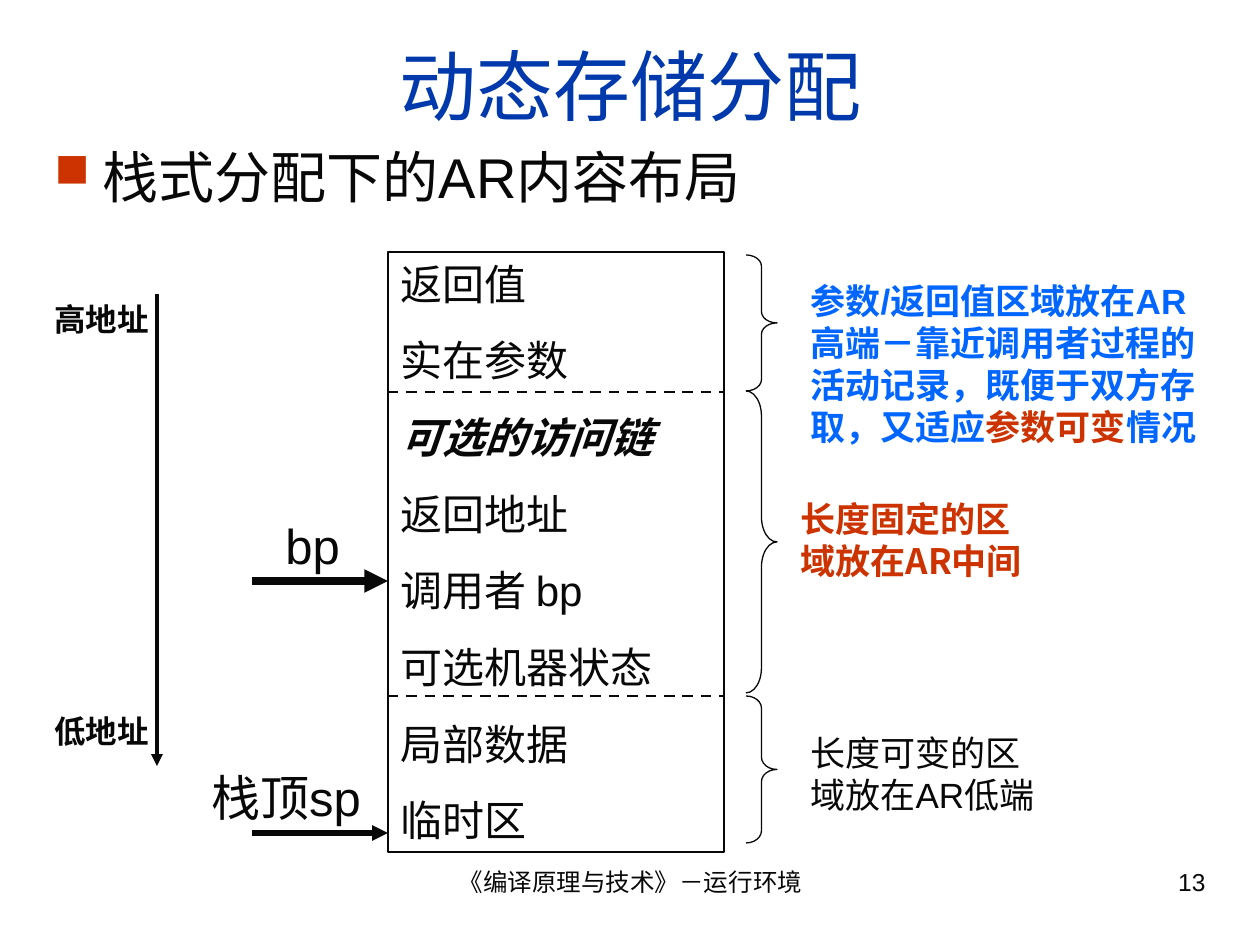
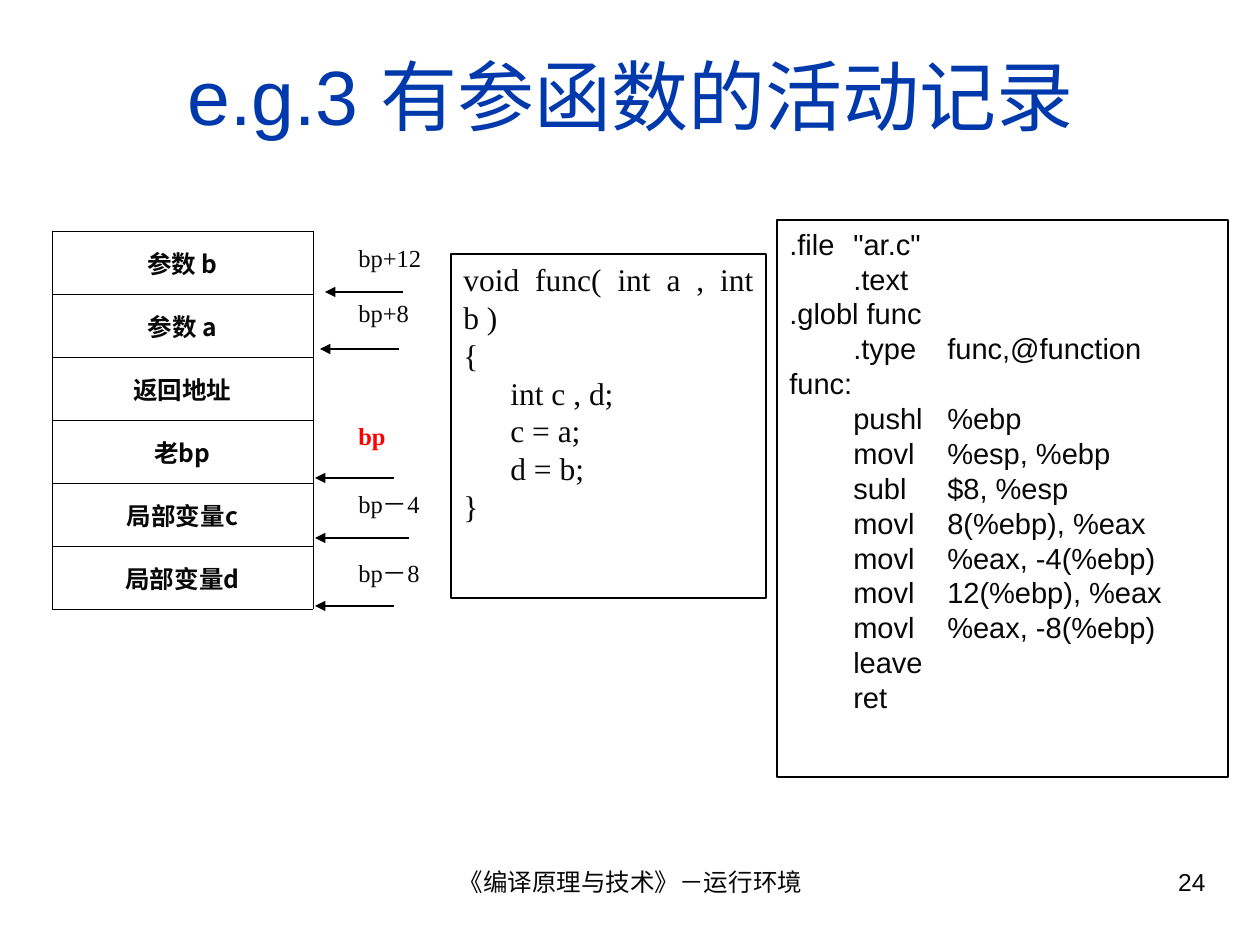
from dataclasses import dataclass

from lxml import etree
from pptx import Presentation
from pptx.dml.color import RGBColor
from pptx.enum.dml import MSO_LINE
from pptx.enum.shapes import MSO_CONNECTOR, MSO_SHAPE
from pptx.enum.text import MSO_ANCHOR, PP_ALIGN
from pptx.oxml.ns import qn
from pptx.util import Pt

LEFT, CENTER = PP_ALIGN.LEFT, PP_ALIGN.CENTER
RIGHT, JUSTIFY = PP_ALIGN.RIGHT, PP_ALIGN.JUSTIFY
TOP, MIDDLE = MSO_ANCHOR.TOP, MSO_ANCHOR.MIDDLE
RECT, BRACE = MSO_SHAPE.RECTANGLE, MSO_SHAPE.RIGHT_BRACE
STRAIGHT, DASH = MSO_CONNECTOR.STRAIGHT, MSO_LINE.DASH
EMU_PER_PX = 914400 / 126


@dataclass(frozen=True)
class Theme:
    ink: str = "080808"
    black: str = "000000"
    title: str = "0039AC"
    accent: str = "CC3300"
    note: str = "0066FF"
    alert: str = "FF0000"
    sans: str = "Arial"
    serif: str = "Times New Roman"
    cjk: str = "Noto Sans CJK SC"
    title_size: float = 44
    bullet_size: float = 32
    pointer_size: float = 28
    stack_size: float = 24
    note_size: float = 20
    code_size: float = 18
    asm_size: float = 16.6
    small_size: float = 14


T = Theme()
FOOTER = "《编译原理与技术》－运行环境"

# Slide 1: layout of an activation record
LAYOUT_TITLE = "动态存储分配"
LAYOUT_BULLET = "栈式分配下的AR内容布局"
STACK = (388, 252, 336, 600)
STACK_FIELDS = ["返回值", "实在参数", "可选的访问链", "返回地址", "调用者 bp",
                "可选机器状态", "局部数据", "临时区"]
OPTIONAL_FIELD = "可选的访问链"
DIVIDERS = [392, 696]
BRACE_X, BRACE_W = 746, 31
BRACE_SPANS = [(255, 391), (391, 693), (696, 843)]
# box, runs of (text, colour), bold, font
REGION_NOTES = [
    ((798, 273, 431, 181),
     [("参数/返回值区域放在AR高端－靠近调用者过程的活动记录，既便于双方存取，又适应", T.note),
      ("参数可变", T.accent), ("情况", T.note)], True, T.sans),
    ((788, 491, 262, 139), [("长度固定的区域放在AR中间", T.accent)], True, T.cjk),
    ((798, 725, 262, 139), [("长度可变的区域放在AR低端", T.ink)], False, T.sans),
]
# label, label box, arrow y, arrow weight
REGISTERS = [("bp", (273, 509, 105, 72), 581, 4.5),
             ("栈顶sp", (199, 761, 179, 131), 833, 3)]
ADDRESS_ENDS = [("高地址", 294), ("低地址", 706)]
ADDRESS_AXIS = (157, 294, 157, 766)

# Slide 2: activation record of a function with parameters
EXAMPLE_TITLE = "e.g.3 有参函数的活动记录"
RECORD_X, RECORD_Y, RECORD_W, ROW_H = 52, 231, 261, 63
RECORD = ["参数 b", "参数 a", "返回地址", "老bp", "局部变量c", "局部变量d"]
# label, label top, arrow y, arrow start x, arrow end x
OFFSETS = [("bp+12", 237, 292, 403, 325), ("bp+8", 292, 349, 399, 320),
           ("bp", 415, 478, 394, 315), ("bp－4", 483, 538, 409, 315),
           ("bp－8", 552, 606, 394, 315)]
C_BOX, C_INDENT = (451, 254, 315, 344), 47
C_CODE = [(0, "void func( int a , int b )"), (0, "{"), (1, "int c , d;"),
          (1, "c = a;"), (1, "d = b;"), (0, "}")]
ASM_BOX, ASM_TABS = (777, 220, 451, 557), (64, 158)
# label, operation, operands: one tab column each
ASM_CODE = [
    (".file", '"ar.c"'), ("", ".text"), (".globl func",),
    ("", ".type", "func,@function"), ("func:",),
    ("", "pushl", "%ebp"), ("", "movl", "%esp, %ebp"), ("", "subl", "$8, %esp"),
    ("", "movl", "8(%ebp), %eax"), ("", "movl", "%eax, -4(%ebp)"),
    ("", "movl", "12(%ebp), %eax"), ("", "movl", "%eax, -8(%ebp)"),
    ("", "leave"), ("", "ret"),
]


def px(*values):
    return [round(v * EMU_PER_PX) for v in values]


def rgb(color):
    return RGBColor.from_string(color)


def sub(parent, tag, **attrs):
    return etree.SubElement(parent, qn(tag), {k: str(v) for k, v in attrs.items()})


def style(p, size, color=T.ink, font=T.sans, bold=False, italic=False, align=LEFT):
    p.alignment = align
    f = p.font
    f.size, f.bold, f.italic = Pt(size), bold, italic
    f.color.rgb = rgb(color)
    f.name = font
    sub(p._p.pPr.find(qn("a:defRPr")), "a:ea", typeface=T.cjk)


def write(tf, lines, size, **look):
    """Fill a text frame with one equally styled paragraph per line."""
    tf.word_wrap = True
    for i, line in enumerate(lines):
        p = tf.add_paragraph() if i else tf.paragraphs[0]
        p.text = line
        style(p, size, **look)
    return tf.paragraphs


def add_text(s, box, text, size, anchor=TOP, **look):
    tf = s.shapes.add_textbox(*px(*box)).text_frame
    tf.vertical_anchor = anchor
    return write(tf, [text], size, **look)[0]


def add_outline(s, kind, box, color, weight):
    sp = s.shapes.add_shape(kind, *px(*box))
    sp.shadow.inherit = False
    sp.fill.background()
    sp.line.color.rgb = rgb(color)
    sp.line.width = Pt(weight)
    sp.text_frame.vertical_anchor = TOP
    return sp


def add_line(s, ends, color, weight, arrow=True):
    """Draw an arrow, or a dashed rule when arrow is False."""
    c = s.shapes.add_connector(STRAIGHT, *px(*ends))
    c.line.color.rgb = rgb(color)
    c.line.width = Pt(weight)
    if arrow:
        sub(c.line._get_or_add_ln(), "a:tailEnd", type="triangle")
    else:
        c.line.dash_style = DASH
    sub(c._element.spPr, "a:effectLst")


def add_bullet(p, indent):
    pPr = p._p.pPr
    pPr.set("marL", str(px(indent)[0]))
    pPr.set("indent", str(px(-indent)[0]))
    marks = [etree.Element(qn(tag)) for tag in ("a:buClr", "a:buSzPct", "a:buChar")]
    sub(marks[0], "a:srgbClr", val=T.accent)
    marks[1].set("val", "85000")
    marks[2].set("char", "■")
    for mark in marks:
        pPr.find(qn("a:defRPr")).addprevious(mark)


def add_tabs(p, stops):
    tabs = etree.Element(qn("a:tabLst"))
    for stop in px(*stops):
        sub(tabs, "a:tab", pos=stop, algn="l")
    p._p.pPr.find(qn("a:defRPr")).addprevious(tabs)


def new_slide(prs, title, title_h, number):
    s = prs.slides.add_slide(prs.slide_layouts[6])
    add_text(s, (431, 861, 399, 66), FOOTER, T.small_size, align=CENTER)
    add_text(s, (903, 861, 315, 66), str(number), T.small_size, align=RIGHT)
    add_text(s, (42, 32, 1177, title_h), title, T.title_size, MIDDLE,
             color=T.title, align=CENTER)
    return s


def build_layout_slide(prs):
    s = new_slide(prs, LAYOUT_TITLE, 105, 13)
    p = add_text(s, (42, 136, 1177, 80), LAYOUT_BULLET, T.bullet_size)
    p.space_before = Pt(8)
    add_bullet(p, 48)

    x, _, w, _ = STACK
    sp = add_outline(s, RECT, STACK, T.ink, 1)
    for p in write(sp.text_frame, STACK_FIELDS, T.stack_size):
        p.space_before = Pt(15)
        p.font.bold = p.font.italic = p.text == OPTIONAL_FIELD
    for y in DIVIDERS:
        add_line(s, (x, y, x + w, y), T.ink, 1.5, arrow=False)
    for top, bottom in BRACE_SPANS:
        h = bottom - top
        brace = add_outline(s, BRACE, (BRACE_X, top, BRACE_W, h), T.ink, 0.75)
        brace.adjustments[0] = h / 12 / BRACE_W

    for box, runs, bold, font in REGION_NOTES:
        p = add_text(s, box, "", T.note_size, bold=bold, font=font)
        for text, color in runs:
            r = p.add_run()
            r.text = text
            r.font.color.rgb = rgb(color)
    for label, box, y, weight in REGISTERS:
        add_line(s, (252, y, x, y), T.ink, weight)
        add_text(s, box, label, T.pointer_size)
    add_line(s, ADDRESS_AXIS, T.ink, 2.25)
    for label, y in ADDRESS_ENDS:
        add_text(s, (42, y, 157, 50), label, T.code_size, bold=True)


def add_record_table(s):
    box = px(RECORD_X, RECORD_Y, RECORD_W, ROW_H * len(RECORD))
    table = s.shapes.add_table(len(RECORD), 1, *box).table
    table.first_row = table.horz_banding = False
    for i, field in enumerate(RECORD):
        cell = table.cell(i, 0)
        cell.vertical_anchor = MIDDLE
        write(cell.text_frame, [field], T.small_size, font=T.cjk, bold=True, align=CENTER)
        tcPr = cell._tc.get_or_add_tcPr()
        for side in ("a:lnL", "a:lnR", "a:lnT", "a:lnB"):
            ln = sub(tcPr, side, w=Pt(0.45))
            sub(sub(ln, "a:solidFill"), "a:srgbClr", val=T.black)
        cell.fill.background()


def build_example_slide(prs):
    s = new_slide(prs, EXAMPLE_TITLE, 126, 24)
    add_record_table(s)
    for label, top, y, start, end in OFFSETS:
        is_base = label == "bp"
        add_line(s, (start, y, end, y), T.black, 0.75)
        add_text(s, (346, top, 126, 68), label, T.small_size, font=T.serif,
                 color=T.alert if is_base else T.ink, bold=is_base)

    tf = add_outline(s, RECT, C_BOX, T.black, 0.75).text_frame
    lines = write(tf, [code for _, code in C_CODE], T.code_size,
                  font=T.serif, align=JUSTIFY)
    for p, (level, _) in zip(lines, C_CODE):
        p._p.pPr.set("marL", str(px(level * C_INDENT)[0]))

    tf = add_outline(s, RECT, ASM_BOX, T.black, 0.75).text_frame
    for p in write(tf, ["\t".join(parts) for parts in ASM_CODE], T.asm_size):
        add_tabs(p, ASM_TABS)


def main():
    prs = Presentation()
    prs.slide_width, prs.slide_height = px(1260, 945)
    build_layout_slide(prs)
    build_example_slide(prs)
    prs.save("out.pptx")


if __name__ == "__main__":
    main()
